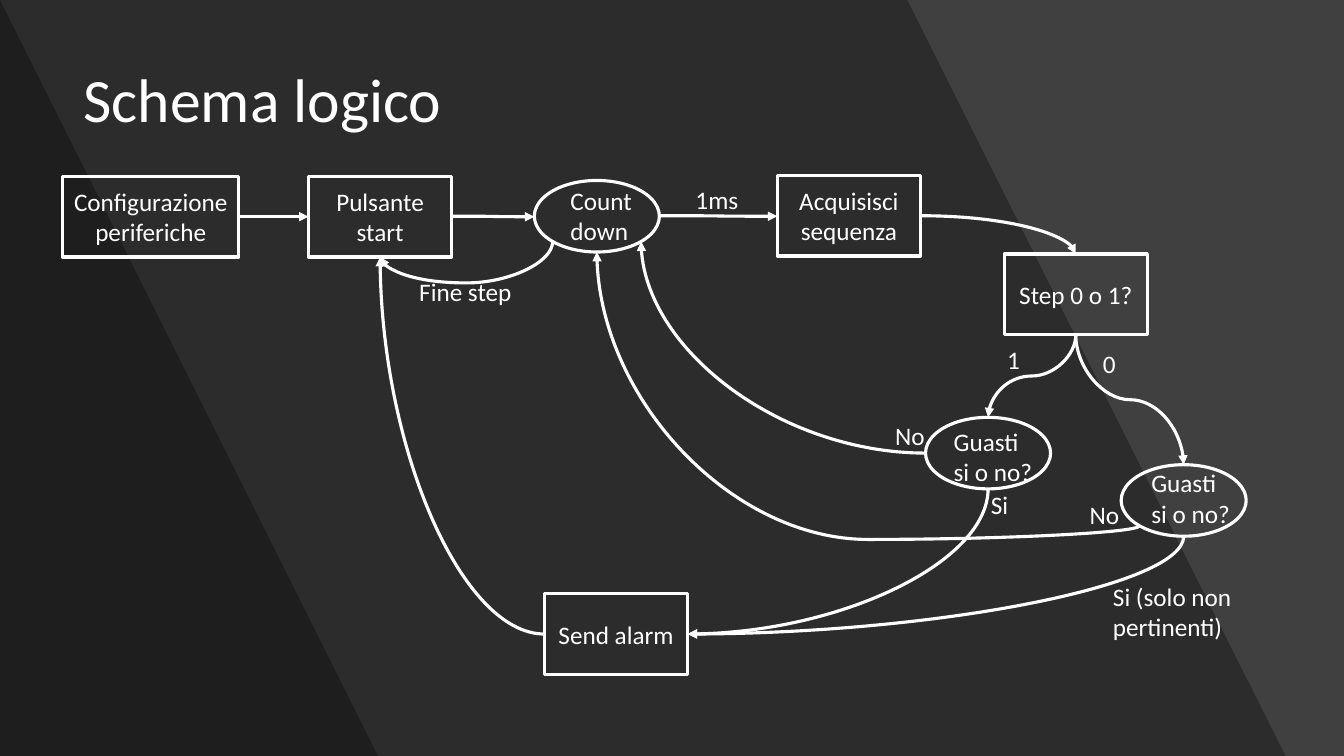
from lxml import etree
from pptx import Presentation
from pptx.dml.color import RGBColor
from pptx.enum import shapes, text
from pptx.oxml.ns import qn
from pptx.util import Inches, Pt

WHITE, BLACK, GREY = "FFFFFF", "000000", "404040"
RECT, OVAL = shapes.MSO_SHAPE.RECTANGLE, shapes.MSO_SHAPE.OVAL
DIAGONAL = 0.5 ** 0.5 / 2

# Connection sites: horizontal and vertical fraction, index on a box, index on an oval
SITES = {
    "top": (0.5, 0, 0, 0),
    "left": (0, 0.5, 1, 2),
    "bottom": (0.5, 1, 2, 4),
    "right": (1, 0.5, 3, 6),
    "bottom left": (0.5 - DIAGONAL, 0.5 + DIAGONAL, None, 3),
    "bottom right": (0.5 + DIAGONAL, 0.5 + DIAGONAL, None, 5),
}


def color(value):
    return RGBColor.from_string(value)


class SlideBuilder:
    font, text_size, line_width = "Calibri", 18, 2.25

    def __init__(self, slide):
        self.slide = slide

    def background(self, fill):
        self.slide.background.fill.solid()
        self.slide.background.fill.fore_color.rgb = color(fill)

    def add_text(self, shape, content, size, align, anchor):
        frame = shape.text_frame
        frame.word_wrap = True
        frame.vertical_anchor = anchor
        paragraph = frame.paragraphs[0]
        paragraph.alignment = align
        run = paragraph.add_run()
        run.text = content
        run.font.name, run.font.size = self.font, Pt(size)
        run.font.color.rgb = color(WHITE)
        return paragraph

    def title(self, content, left, top, width, height):
        shape = self.slide.shapes.title
        shape.left, shape.top = Inches(left), Inches(top)
        shape.width, shape.height = Inches(width), Inches(height)
        paragraph = self.add_text(shape, content, 44, text.PP_ALIGN.LEFT,
                                  text.MSO_ANCHOR.MIDDLE)
        paragraph.line_spacing = 0.9
        self.slide.shapes._spTree.append(shape._element)  # in front of the bands

    def band(self, top_right, bottom_right):
        builder = self.slide.shapes.build_freeform(0, 0, scale=Inches(1))
        builder.add_line_segments(
            [(top_right, 0), (bottom_right, 7.5), (0, 7.5)], close=True)
        shape = builder.convert_to_shape()
        shape.shadow.inherit = False
        shape.line.fill.background()
        shape.fill.solid()
        shape.fill.fore_color.rgb = color(BLACK)
        fill = shape._element.spPr.find(qn("a:solidFill"))
        etree.SubElement(fill[0], qn("a:alpha"), val="30000")

    def node(self, kind, left, top, width, height, content=None):
        shape = self.slide.shapes.add_shape(
            kind, Inches(left), Inches(top), Inches(width), Inches(height))
        shape.shadow.inherit = False
        shape.fill.background()
        shape.line.color.rgb = color(WHITE)
        shape.line.width = Pt(self.line_width)
        if content:
            self.add_text(shape, content, self.text_size, text.PP_ALIGN.CENTER,
                          text.MSO_ANCHOR.MIDDLE)
        return shape

    def label(self, content, left, top, width=1.1, height=0.4):
        box = self.slide.shapes.add_textbox(
            Inches(left), Inches(top), Inches(width), Inches(height))
        self.add_text(box, content, self.text_size, text.PP_ALIGN.LEFT,
                      text.MSO_ANCHOR.TOP)

    def arrow(self, start, start_site, end, end_site, bends=3, adjust=0.5):
        """Curved arrow between two sites; bends is 2 (one arc) or 3 (S-curve)."""
        points, indexes = [], []
        for shape, site in ((start, start_site), (end, end_site)):
            across, down, box_index, oval_index = SITES[site]
            points.append((shape.left + shape.width * across,
                           shape.top + shape.height * down))
            is_box = shape.auto_shape_type == RECT
            indexes.append(box_index if is_box else oval_index)
        (x1, y1), (x2, y2) = points
        width, height = abs(x2 - x1), abs(y2 - y1)

        # The frame is turned so that the curve leaves along its own x axis
        rotation, flip = 0, False
        if start_site.startswith("bottom"):
            width, height = height, width
            rotation = 270 if x2 > x1 else 90
            flip = (x2 > x1) == (y2 > y1)
        elif x2 < x1:
            rotation = 180
        left, top = (x1 + x2 - width) / 2, (y1 + y2 - height) / 2
        connector = self.slide.shapes.add_connector(
            shapes.MSO_CONNECTOR.CURVE, int(left), int(top),
            int(left + width), int(top + height))
        connector._connect_begin_to(start, indexes[0])
        connector._connect_end_to(end, indexes[1])
        connector.line.color.rgb = color(WHITE)
        connector.line.width = Pt(self.line_width)

        properties = connector._element.spPr
        frame = properties.find(qn("a:xfrm"))
        if rotation:
            frame.set("rot", str(rotation * 60000))
        if flip:
            frame.set("flipH", "1")
        geometry = properties.find(qn("a:prstGeom"))
        geometry.set("prst", f"curvedConnector{bends}")
        if bends == 3:
            guides = geometry.find(qn("a:avLst"))
            if guides is None:
                guides = etree.SubElement(geometry, qn("a:avLst"))
            etree.SubElement(guides, qn("a:gd"), name="adj1",
                             fmla=f"val {round(adjust * 100000)}")
        etree.SubElement(properties.find(qn("a:ln")), qn("a:tailEnd"), type="triangle")
        etree.SubElement(properties, qn("a:effectLst"))


presentation = Presentation()
presentation.slide_width, presentation.slide_height = Inches(13.33), Inches(7.5)
builder = SlideBuilder(presentation.slides.add_slide(presentation.slide_layouts[5]))

# Background bands and title
builder.background(GREY)
builder.band(9.42, 12.89)
builder.band(0.44, 3.92)
builder.title("Schema logico", 0.73, 0.29, 11.51, 1.45)

# Boxes and ovals
box, oval = (1.42, 0.8), (1.24, 0.71)
setup = builder.node(RECT, 0.62, 1.75, 1.75, 0.8, "Configurazione periferiche")
button = builder.node(RECT, 3.06, 1.75, *box, "Pulsante start")
countdown = builder.node(OVAL, 5.3, 1.79, *oval)
acquire = builder.node(RECT, 7.71, 1.74, *box, "Acquisisci sequenza")
step = builder.node(RECT, 9.96, 2.52, *box, "Step 0 o 1?")
faults_one = builder.node(OVAL, 9.18, 4.14, *oval)
faults_zero = builder.node(OVAL, 11.12, 4.61, *oval)
alarm = builder.node(RECT, 5.4, 5.89, *box, "Send alarm")

# Arrows
for arrow in (
    (setup, "right", button, "left"),
    (button, "right", countdown, "left"),
    (countdown, "right", acquire, "left"),
    (acquire, "right", step, "top", 2),
    (step, "bottom", faults_one, "top"),
    (step, "bottom", faults_zero, "top"),
    (faults_one, "bottom", alarm, "right", 2),
    (faults_zero, "bottom", alarm, "right", 2),
    (alarm, "left", button, "bottom", 2),
    (faults_one, "left", countdown, "bottom right", 2),
    (faults_zero, "bottom left", countdown, "bottom", 3, -0.05),
    (countdown, "bottom left", button, "bottom", 3, 2.67),
):
    builder.arrow(*arrow)

# Oval captions and arrow labels
for label in (
    ("Count down", 5.56, 1.79, 1.1, 0.71),
    ("Guasti si o no?", 9.36, 4.18, 1.01, 0.71),
    ("Guasti si o no?", 11.32, 4.59, 1.01, 0.71),
    ("1ms", 6.8, 1.78),
    ("1", 9.89, 3.37),
    ("0", 10.84, 3.41),
    ("No", 8.78, 4.12),
    ("No", 10.71, 4.9),
    ("Si", 9.73, 4.81),
    ("Si (solo non pertinenti)", 10.94, 5.72, 1.75, 0.71),
    ("Fine step", 4.06, 2.69, 1.53),
):
    builder.label(*label)

presentation.save("out.pptx")
